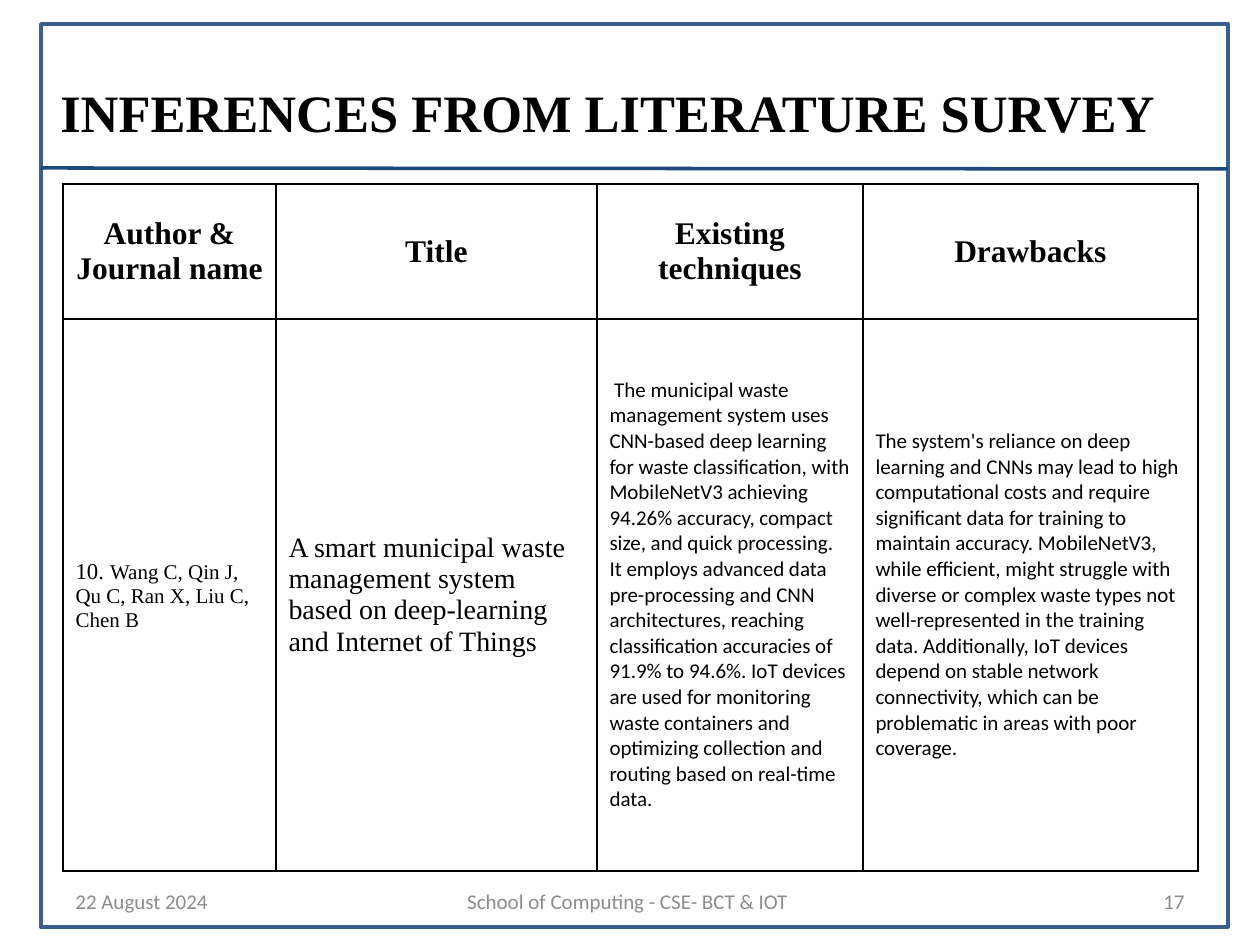
from lxml import etree
from pptx import Presentation
from pptx.dml.color import RGBColor
from pptx.enum.shapes import MSO_CONNECTOR, MSO_SHAPE
from pptx.enum.text import MSO_ANCHOR, PP_ALIGN
from pptx.oxml.ns import qn
from pptx.util import Pt

PX = 914400 / 126
LEFT, CENTER, RIGHT = PP_ALIGN.LEFT, PP_ALIGN.CENTER, PP_ALIGN.RIGHT
MIDDLE = MSO_ANCHOR.MIDDLE
RECT, STRAIGHT = MSO_SHAPE.RECTANGLE, MSO_CONNECTOR.STRAIGHT

BLACK = RGBColor(0x00, 0x00, 0x00)
WHITE = RGBColor(0xFF, 0xFF, 0xFF)
GRAY = RGBColor(0x8C, 0x8C, 0x8C)
FRAME_BLUE = RGBColor(0x3A, 0x5F, 0x8C)
RULE_BLUE = RGBColor(0x1F, 0x49, 0x7D)

SERIF, SANS = "Times New Roman", "Calibri"
TITLE = {"name": SERIF, "size": Pt(30), "bold": True}
HEADER = {"name": SERIF, "size": Pt(18), "bold": True}
FOOTER = {"name": SANS, "size": Pt(12), "bold": False}
BODY = {"name": SANS, "size": Pt(12), "bold": False}


def serif(size):
    return {"name": SERIF, "size": Pt(size), "bold": False}


COLUMNS = [
    (213, "Author & Journal name", [
        ("10.", serif(13)),
        (" ", serif(14)),
        ("Wang C, Qin J, Qu C, Ran X, Liu C, Chen B", serif(12)),
    ]),
    (321, "Title", [
        ("A smart municipal waste management system based on deep-learning "
         "and Internet of Things", serif(16)),
    ]),
    (266, "Existing techniques", [
        (" The municipal waste management system uses CNN-based deep learning "
         "for waste classification, with MobileNetV3 achieving 94.26% accuracy, "
         "compact size, and quick processing. It employs advanced data "
         "pre-processing and CNN architectures, reaching classification "
         "accuracies of 91.9% to 94.6%. IoT devices are used for monitoring "
         "waste containers and optimizing collection and routing based on "
         "real-time data.", BODY),
    ]),
    (335, "Drawbacks", [
        ("The system's reliance on deep learning and CNNs may lead to high "
         "computational costs and require significant data for training to "
         "maintain accuracy. MobileNetV3, while efficient, might struggle with "
         "diverse or complex waste types not well-represented in the training "
         "data. Additionally, IoT devices depend on stable network "
         "connectivity, which can be problematic in areas with poor coverage.",
         BODY),
    ]),
]
ROW_HEIGHTS = [135, 552]


def px(*values):
    return [round(v * PX) for v in values]


def write(tf, runs, align, color):
    tf.word_wrap = True
    p = tf.paragraphs[0]
    p.alignment = align
    for text, fmt in runs:
        r = p.add_run()
        r.text = text
        r.font.color.rgb = color
        for key, value in fmt.items():
            setattr(r.font, key, value)


def add_text(s, box, text, fmt, align, color):
    tf = s.shapes.add_textbox(*px(*box)).text_frame
    tf.vertical_anchor = MIDDLE
    write(tf, [(text, fmt)], align, color)


def add_frame(s, box):
    x, y, w, h = box
    sp = s.shapes.add_shape(RECT, *px(*box))
    sp.shadow.inherit = False
    sp.fill.background()
    rule = s.shapes.add_connector(STRAIGHT, *px(x, y + 144, x + w, y + 145))
    etree.SubElement(rule._element.spPr, qn("a:effectLst"))
    for shape, color in ((sp, FRAME_BLUE), (rule, RULE_BLUE)):
        shape.line.color.rgb = color
        shape.line.width = Pt(2)


def add_borders(cell):
    tc_pr = cell._tc.get_or_add_tcPr()
    for side in ("lnL", "lnR", "lnT", "lnB"):
        ln = etree.SubElement(tc_pr, qn(f"a:{side}"), w=str(Pt(1)))
        fill = etree.SubElement(ln, qn("a:solidFill"))
        etree.SubElement(fill, qn("a:srgbClr"), val=str(BLACK))


def fill_cell(cell, runs, align):
    add_borders(cell)
    cell.fill.solid()
    cell.fill.fore_color.rgb = WHITE
    cell.vertical_anchor = MIDDLE
    write(cell.text_frame, runs, align, BLACK)


def add_survey_table(s, box):
    table = s.shapes.add_table(len(ROW_HEIGHTS), len(COLUMNS), *px(*box)).table
    table.horz_banding = False
    for row, height in zip(table.rows, ROW_HEIGHTS):
        row.height = px(height)[0]
    for i, (width, heading, runs) in enumerate(COLUMNS):
        table.columns[i].width = px(width)[0]
        fill_cell(table.cell(0, i), [(heading, HEADER)], CENTER)
        fill_cell(table.cell(1, i), runs, LEFT)


def add_footer(s, box):
    x, y, w, h = box
    side, middle = 294, 400
    parts = [
        (x, side, "22 August 2024", LEFT),
        (x + (w - middle) // 2, middle, "School of Computing - CSE- BCT & IOT ", CENTER),
        (x + w - side, side, "17", RIGHT),
    ]
    for left, width, text, align in parts:
        add_text(s, (left, y, width, h), text, FOOTER, align, GRAY)


def main():
    prs = Presentation()
    prs.slide_width, prs.slide_height = px(1260, 945)
    s = prs.slides.add_slide(prs.slide_layouts[6])
    add_frame(s, (41, 24, 1187, 903))
    add_text(s, (41, 32, 1134, 158), "INFERENCES FROM LITERATURE SURVEY",
             TITLE, CENTER, BLACK)
    add_footer(s, (63, 876, 1134, 50))
    add_survey_table(s, (63, 184, 1135, 687))
    prs.save("out.pptx")


if __name__ == "__main__":
    main()
